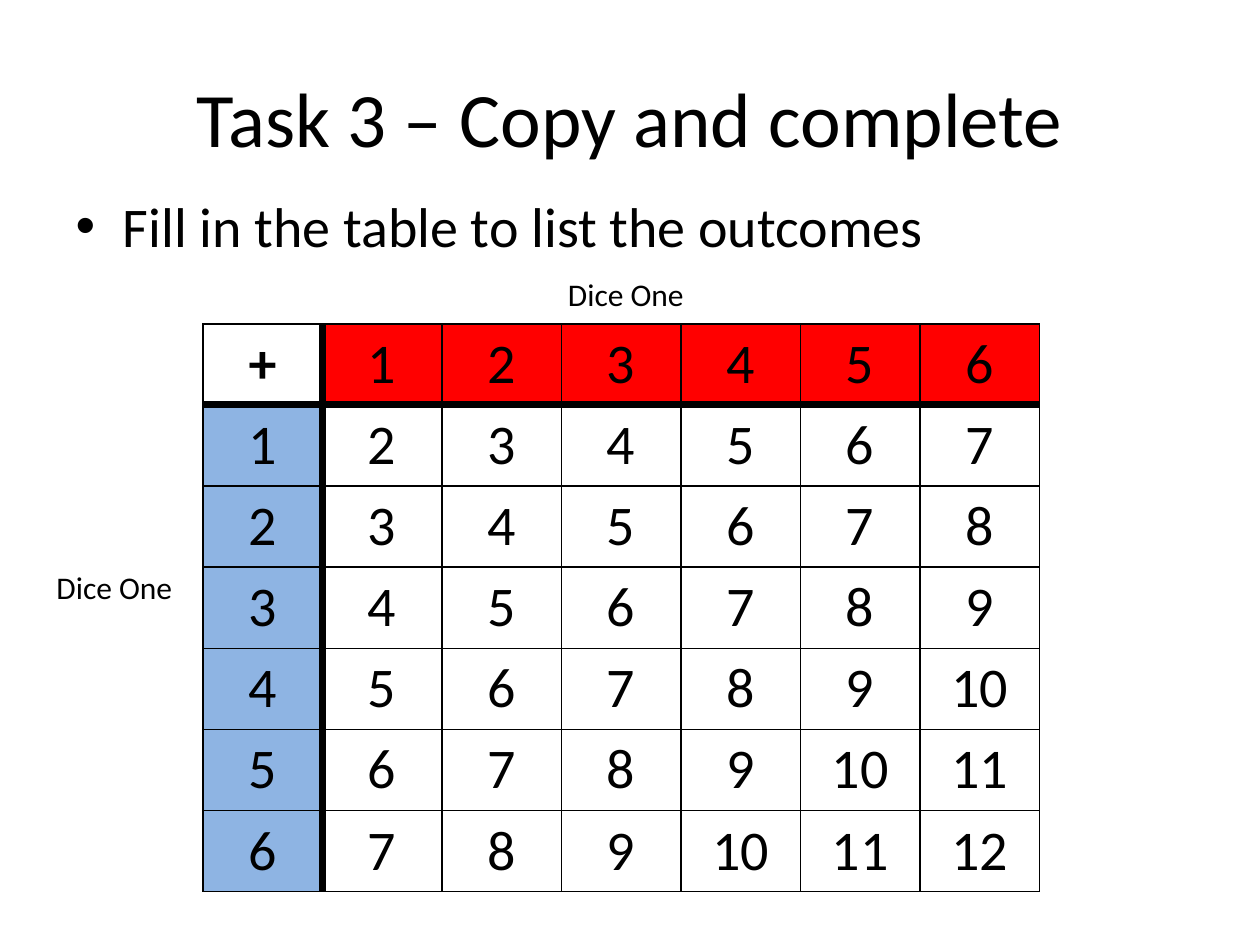
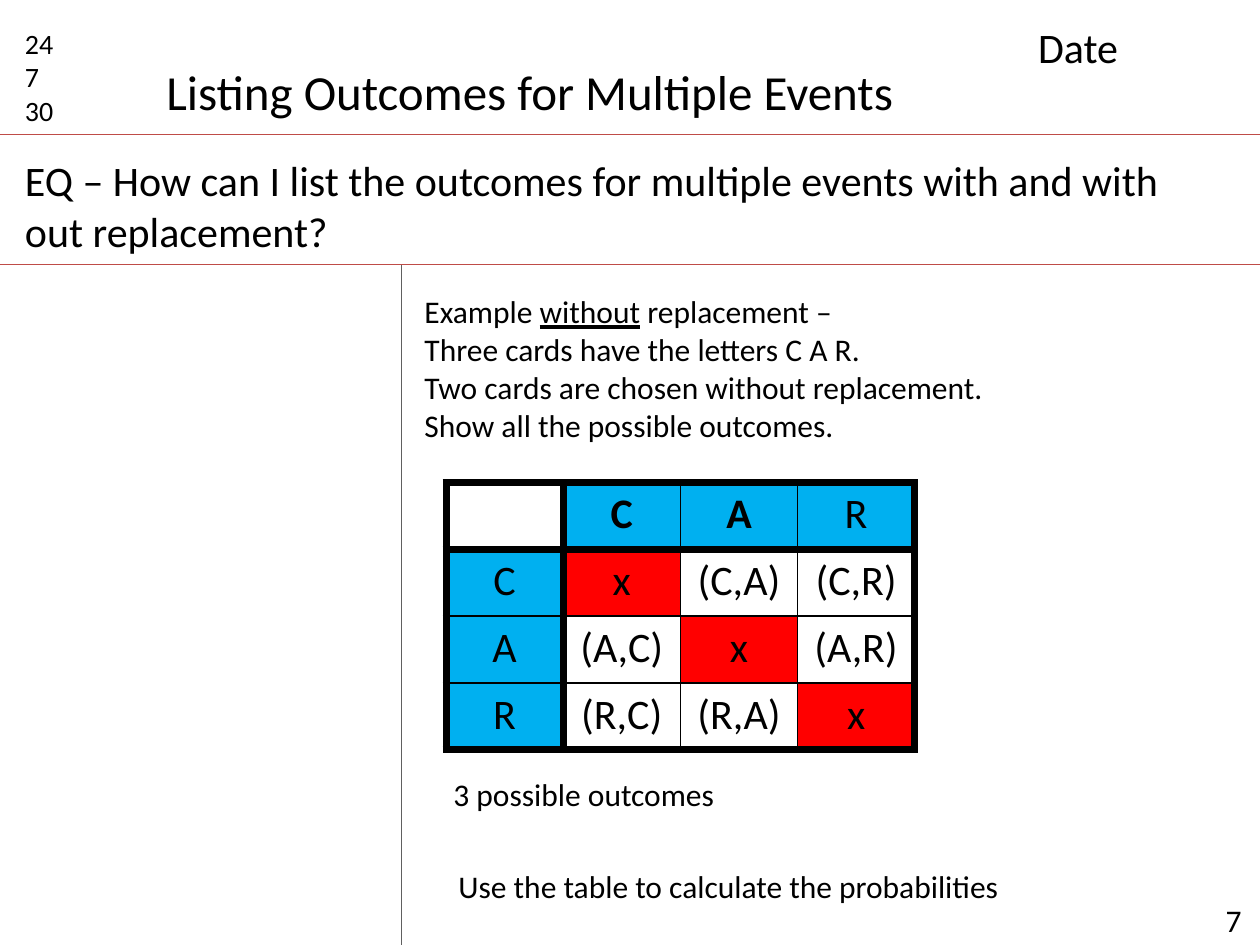
from lxml.etree import SubElement
from pptx import Presentation
from pptx.dml.color import RGBColor
from pptx.enum.shapes import MSO_CONNECTOR
from pptx.enum.text import MSO_ANCHOR, PP_ALIGN as AL
from pptx.oxml.ns import qn
from pptx.util import Inches, Pt

# Shared style
FONT = "Calibri"
BLACK, RED, RULE, DIVIDER = "000000", "FF0000", "BF4C48", "606060"
PALE_BLUE, SKY_BLUE = "8EB4E3", "00B0F0"
THIN, THICK = 1, 4.5

# Content: dice slide
DICE_TITLE = "Task 3 – Copy and complete"
DICE_TASK = "Fill in the table to list the outcomes"
FACES = range(1, 7)
DICE_GRID = [["+", *FACES]] + [[a, *(a + b for b in FACES)] for a in FACES]
DICE_LABELS = [  # text, box, size, wrap
    (["Dice One"], (4.41, 2.13, 1.13, 0.4), 18, False),
    (["Dice One"], (0.35, 4.46, 1.13, 0.4), 18, False),
]

# Content: cards slide
CARDS_TITLE = "Listing Outcomes for Multiple Events"
LETTERS = "CAR"
CARDS_GRID = [["", *LETTERS]] + [
    [a, *("x" if a == b else f"({a},{b})" for b in LETTERS)] for a in LETTERS]
EXAMPLE = [
    ["Example ", "without", " replacement –"],
    "Three cards have the letters C A R.",
    "Two cards are chosen without replacement.",
    "Show all the possible outcomes.",
]
CARDS_TEXTS = [
    (["7"], (9.63, 7.1, 0.37, 0.4), 18, False),
    (["24", "7", "30"], (0.1, 0.16, 0.63, 0.91), 16, True),
    (["Date"], (8.14, 0.12, 1.73, 0.5), 24, True),
    (["EQ – How can I list the outcomes for multiple events "
      "with and with out replacement?"], (0.1, 1.18, 9.43, 0.91), 24, True),
    (EXAMPLE, (3.27, 2.27, 4.69, 1.31), 18, False),
    (["3 possible outcomes"], (3.5, 6.1, 3.39, 0.4), 18, True),
    (["Use the table to calculate the probabilities"],
     (3.54, 6.83, 4.6, 0.4), 18, False),
]
CARDS_LINES = [  # start, end, colour, width
    ((0, 1.07), (10, 1.07), RULE, 0.75),
    ((0, 2.1), (10, 2.1), RULE, 0.75),
    ((3.19, 2.1), (3.19, 7.5), DIVIDER, 0.5),
]


def color(value):
    return RGBColor.from_string(value)


def style(p, size, bold=False, align=AL.LEFT):
    p.alignment = align
    for r in p.runs:
        r.font.name, r.font.size, r.font.bold = FONT, Pt(size), bold
        r.font.color.rgb = color(BLACK)


def place(sp, box):
    sp.left, sp.top, sp.width, sp.height = map(Inches, box)


def fill_placeholder(sp, text, box, size, align=AL.LEFT):
    place(sp, box)
    sp.text_frame.text = text
    p = sp.text_frame.paragraphs[0]
    p.space_before = Pt(0)
    style(p, size, align=align)


def add_text(s, lines, box, size, wrap):
    tf = s.shapes.add_textbox(*map(Inches, box)).text_frame
    tf.word_wrap = wrap
    for i, line in enumerate(lines):
        p = tf.paragraphs[0] if i == 0 else tf.add_paragraph()
        if isinstance(line, str):
            p.text = line
        else:  # the middle part is underlined
            for part in line:
                p.add_run().text = part
            p.runs[1].font.underline = True
        style(p, size)


def add_line(s, start, end, line_color, width):
    cn = s.shapes.add_connector(
        MSO_CONNECTOR.STRAIGHT, *map(Inches, (*start, *end)))
    cn.line.color.rgb = color(line_color)
    cn.line.width = Pt(width)
    SubElement(cn.element.spPr, qn("a:effectLst"))


def set_border(cell, side, width):
    tc_pr = cell._tc.get_or_add_tcPr()
    ln = SubElement(tc_pr, qn(f"a:ln{side}"), w=str(Pt(width)))
    fill = SubElement(ln, qn("a:solidFill"))
    SubElement(fill, qn("a:srgbClr"), val=BLACK)


def add_grid(s, grid, box, row_height, size, top_fill, side_fill,
             thick_edges, bold_cells):
    """Square outcome table; thick_edges are grid-line numbers from 0."""
    n = len(grid)
    table = s.shapes.add_table(n, n, *map(Inches, box)).table
    table.first_row = table.horz_banding = False
    for row in table.rows:
        row.height = Inches(row_height)
    for i, values in enumerate(grid):
        for j, value in enumerate(values):
            cell = table.cell(i, j)
            cell.text = str(value)
            cell.vertical_anchor = MSO_ANCHOR.TOP
            style(cell.text_frame.paragraphs[0], size,
                  (i, j) in bold_cells, AL.CENTER)
            for side, edge in zip("LRTB", (j, j + 1, i, i + 1)):
                set_border(cell, side, THICK if edge in thick_edges else THIN)
            if value == "x":
                fill = RED
            elif (i == 0) != (j == 0):
                fill = top_fill if i == 0 else side_fill
            else:
                cell.fill.background()
                continue
            cell.fill.solid()
            cell.fill.fore_color.rgb = color(fill)


def build_dice(prs):
    s = prs.slides.add_slide(prs.slide_layouts[1])
    fill_placeholder(s.shapes.title, DICE_TITLE, (0.5, 0.3, 9, 1.25), 44, AL.CENTER)
    fill_placeholder(s.placeholders[1], DICE_TASK, (0.5, 1.47, 9, 5.23), 32)
    add_grid(s, DICE_GRID, (1.61, 2.57, 6.64, 4.43), 0.61, 32,
             RED, PALE_BLUE, {1}, {(0, 0)})
    for label in DICE_LABELS:
        add_text(s, *label)


def build_cards(prs):
    s = prs.slides.add_slide(prs.slide_layouts[5])
    fill_placeholder(s.shapes.title, CARDS_TITLE, (1.22, 0.44, 6.04, 0.57), 28)
    s.shapes.title.text_frame.word_wrap = False
    for line in CARDS_LINES:
        add_line(s, *line)
    for text in CARDS_TEXTS:
        add_text(s, *text)
    add_grid(s, CARDS_GRID, (3.54, 3.83, 3.72, 2.13), 0.53, 24,
             SKY_BLUE, SKY_BLUE, {0, 1, len(CARDS_GRID)}, {(0, 1), (0, 2)})


def main():
    prs = Presentation()
    prs.slide_width, prs.slide_height = Inches(10), Inches(7.5)
    build_dice(prs)
    build_cards(prs)
    prs.save("out.pptx")


if __name__ == "__main__":
    main()
